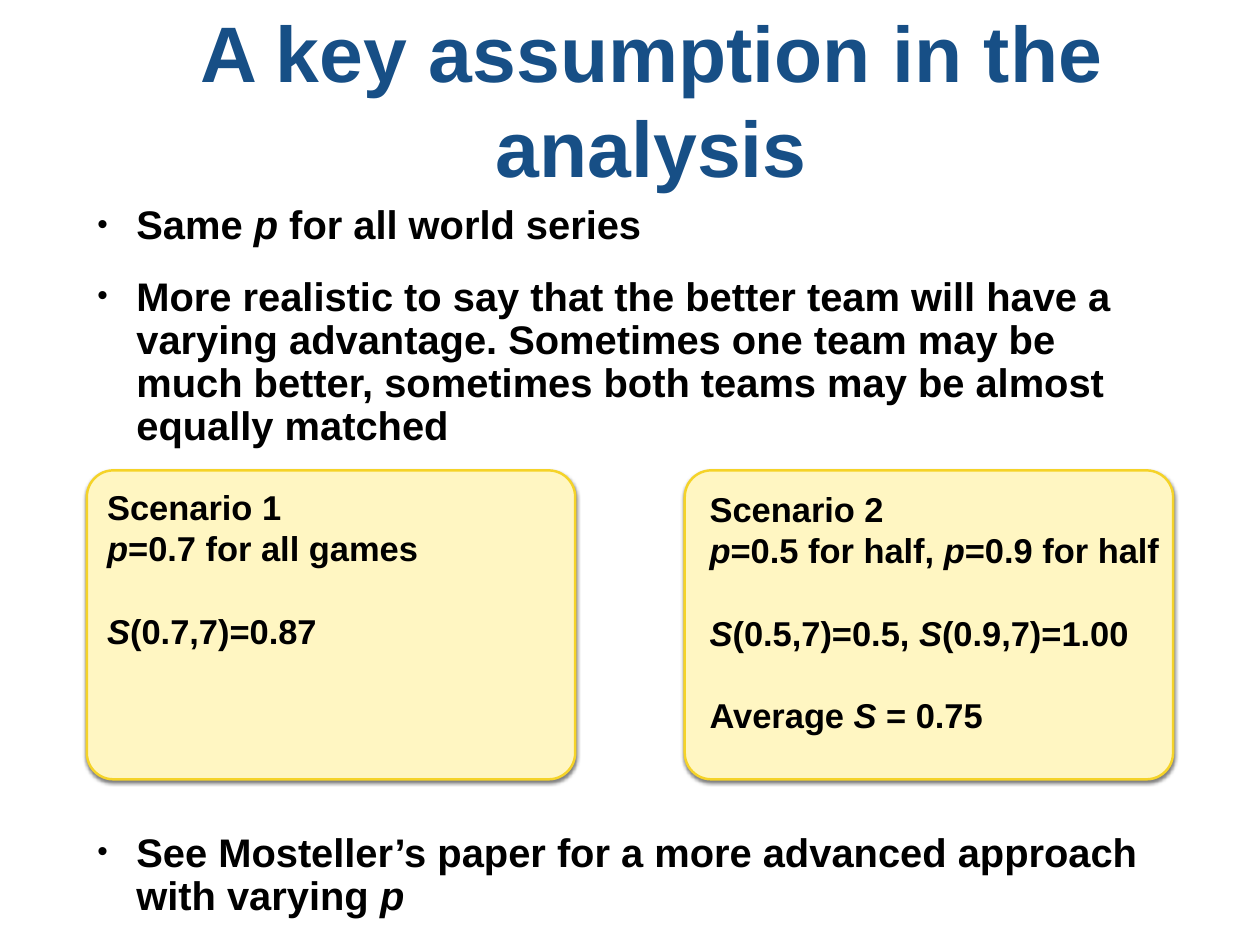
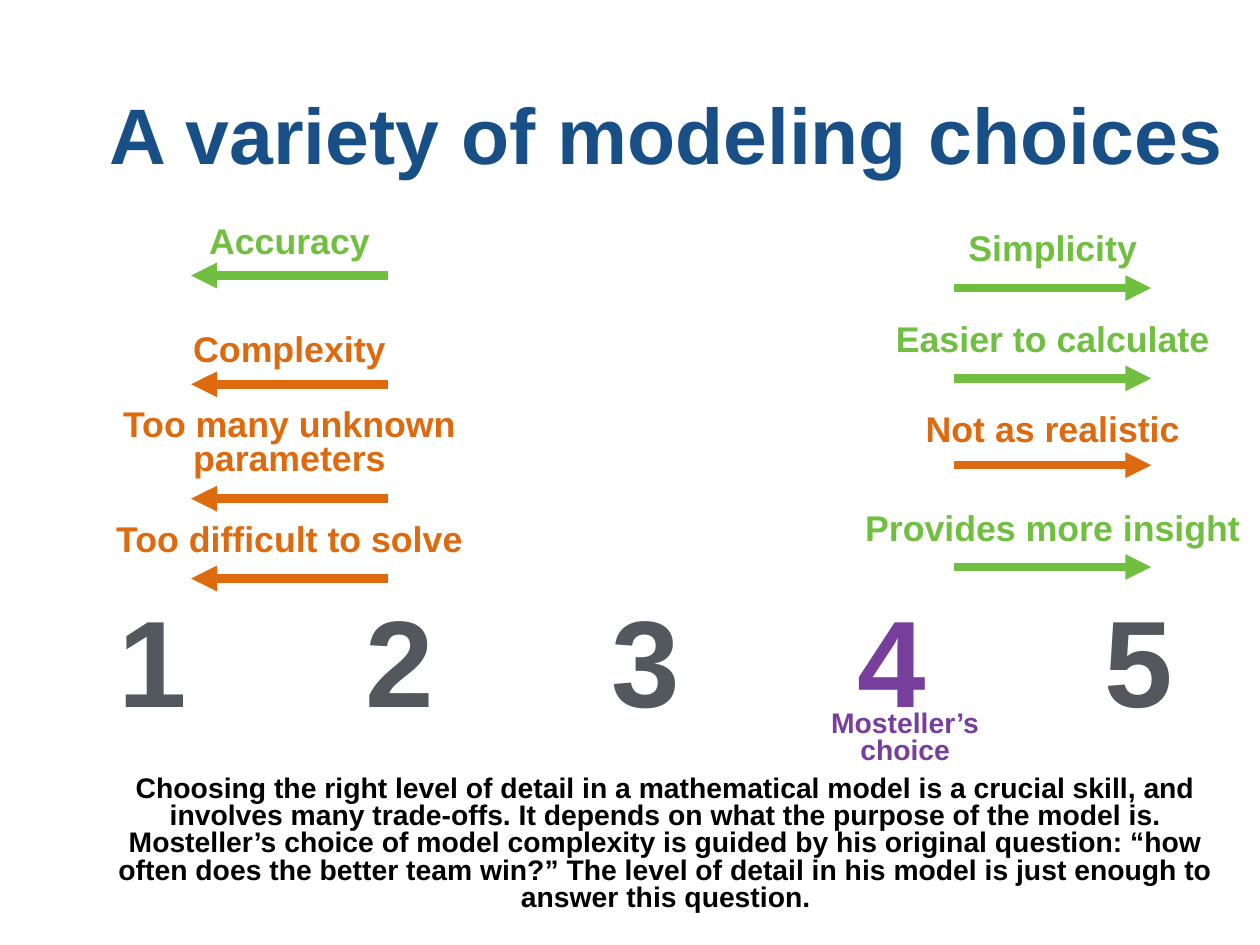
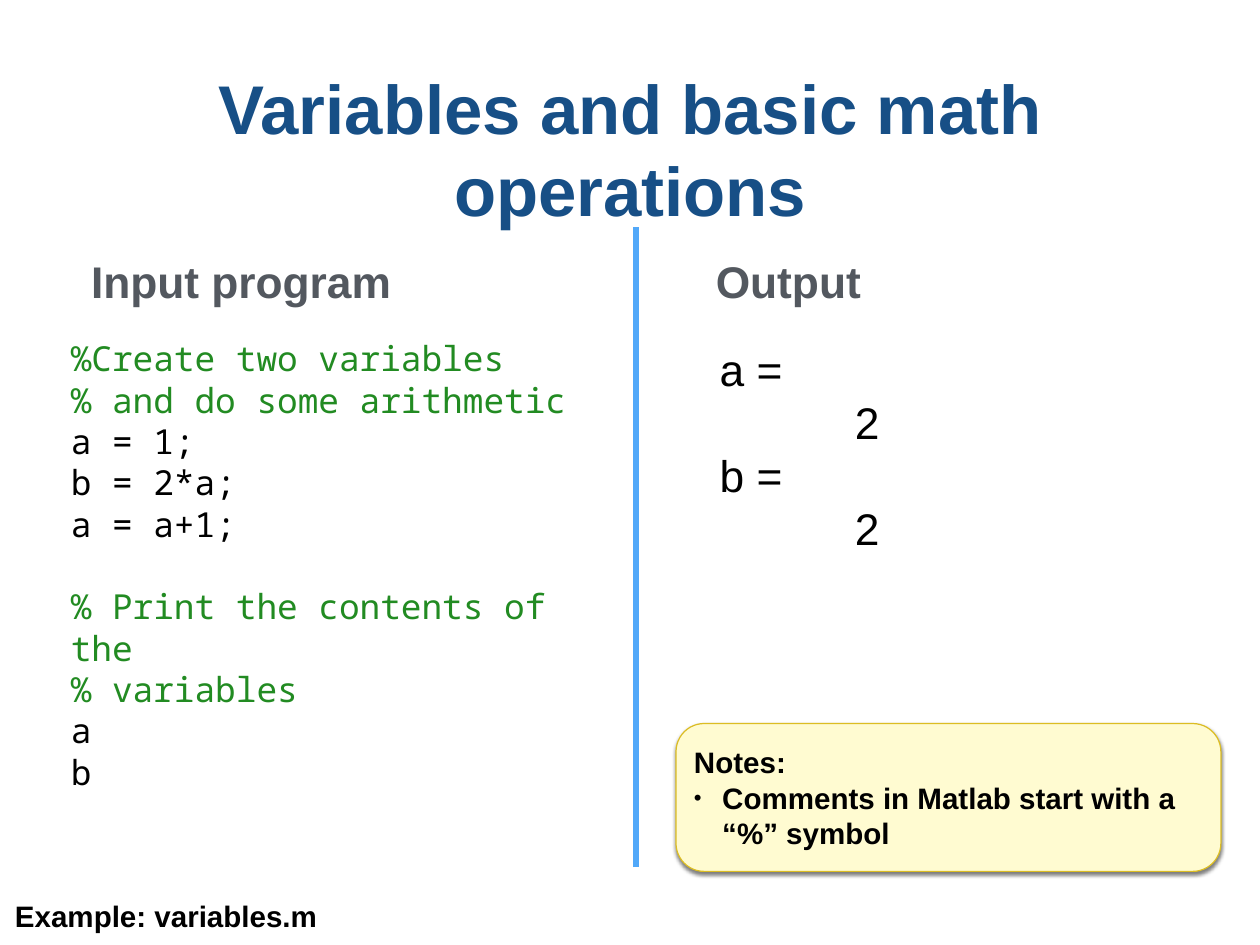
from lxml.etree import SubElement
from pptx import Presentation
from pptx.dml.color import RGBColor
from pptx.enum.shapes import MSO_CONNECTOR as Connector, MSO_SHAPE as Shape
from pptx.enum.text import MSO_ANCHOR as Anchor, PP_ALIGN as Align
from pptx.oxml.ns import qn
from pptx.util import Cm, Pt

BLACK = RGBColor(0x00, 0x00, 0x00)
NAVY = RGBColor(0x17, 0x4F, 0x86)
GREY = RGBColor(0x53, 0x58, 0x5F)
GREEN = RGBColor(0x70, 0xBF, 0x41)
ORANGE = RGBColor(0xDE, 0x6A, 0x10)
PURPLE = RGBColor(0x77, 0x3F, 0x9B)
SKY = RGBColor(0x51, 0xA8, 0xF9)
COMMENT_GREEN = RGBColor(0x22, 0x8B, 0x22)
CARD_FILL, CARD_LINE = RGBColor(0xFF, 0xF6, 0xC2), RGBColor(0xF5, 0xD3, 0x28)
NOTE_FILL, NOTE_LINE = RGBColor(0xFF, 0xFB, 0xD1), RGBColor(0xDC, 0xBD, 0x23)

SANS, MONO = "Arial", "Noto Sans Mono"
LEADING = 1.2  # line pitch as a multiple of the type size

# In all texts "|" switches italics on and off; "" leaves one line of space.
ASSUMPTION_TITLE = "A key assumption in the analysis"
ASSUMPTIONS = [
    "Same |p| for all world series",
    "More realistic to say that the better team will have a varying advantage. "
    "Sometimes one team may be much better, sometimes both teams may be almost "
    "equally matched",
]
FURTHER_READING = ["See Mosteller’s paper for a more advanced approach with varying |p"]
SCENARIOS = [  # left edge, left and top insets, lines
    (2.49, 0.36, 0.22,
     ["Scenario 1", "|p|=0.7 for all games", "", "|S|(0.7,7)=0.87"]),
    (19.63, 0.49, 0.28,
     ["Scenario 2", "|p|=0.5 for half, |p|=0.9 for half", "",
      "|S|(0.5,7)=0.5, |S|(0.9,7)=1.00", "", "Average |S |= 0.75"]),
]

CHOICES_TITLE = "A variety of modeling choices"
LEVELS, CHOSEN_LEVEL = 5, 4
TRADE_OFFS = [  # centre, arrow direction, (label, colour, label middle, arrow height)
    (8.3, -1, [
        ("Accuracy", GREEN, 7.0, 7.9),
        ("Complexity", ORANGE, 10.1, 11.02),
        ("Too many unknown parameters", ORANGE, 12.74, 14.3),
        ("Too difficult to solve", ORANGE, 15.57, 16.59),
    ]),
    (30.18, 1, [
        ("Simplicity", GREEN, 7.21, 8.26),
        ("Easier to calculate", GREEN, 9.82, 10.85),
        ("Not as realistic", ORANGE, 12.41, 13.34),
        ("Provides more insight", GREEN, 15.23, 16.26),
    ]),
]
CHOICE = "Mosteller’s choice"
CONCLUSION = (
    "Choosing the right level of detail in a mathematical model is a crucial skill, "
    "and involves many trade-offs. It depends on what the purpose of the model is. "
    "Mosteller’s choice of model complexity is guided by his original question: "
    "“how often does the better team win?” The level of detail in his model is just "
    "enough to answer this question."
)

VARIABLES_TITLE = "Variables and basic math operations"
HEADINGS = [("Input program", 2.46), ("Output", 20.37)]
PROGRAM = [
    "%Create two variables", "% and do some arithmetic",
    "a = 1;", "b = 2*a;", "a = a+1;", "",
    "% Print the contents of the", "% variables", "a", "b",
]
OUTPUT = ["a =", "2", "b =", "2"]
NOTES = ["Notes:", "Comments in Matlab start with a “%” symbol"]
EXAMPLE_FILE = "Example: variables.m"


def write(frame, lines, size, color=BLACK, font=SANS, bold=True,
          align=Align.LEFT, spacing=1.0, anchor=Anchor.MIDDLE, inset=0.15):
    """Fill a text frame with the lines and return its paragraphs."""
    frame.word_wrap = True
    frame.vertical_anchor = anchor
    frame.margin_left = frame.margin_right = Cm(inset)
    frame.margin_top = frame.margin_bottom = Cm(inset)
    pitch = Pt(round(size * LEADING * spacing, 1))
    paragraphs, gap = [], False
    for line in lines:
        if not line:
            gap = True
            continue
        paragraph = frame.add_paragraph() if paragraphs else frame.paragraphs[0]
        paragraph.alignment = align
        paragraph.line_spacing = pitch
        paragraph.space_before = pitch if gap else Pt(0)
        gap = False
        for position, part in enumerate(line.split("|")):
            if part:
                run = paragraph.add_run()
                run.text = part
                run.font.name, run.font.size = font, Pt(size)
                run.font.bold, run.font.italic = bold, position % 2 == 1
                run.font.color.rgb = color
        paragraphs.append(paragraph)
    return paragraphs


def add_text(slide, box, lines, size, **style):
    frame = slide.shapes.add_textbox(*map(Cm, box)).text_frame
    return write(frame, lines, size, **style)


def add_title(slide, text, left, top, width=33.71, size=64):
    add_text(slide, (left, top, width, 6), [text], size, color=NAVY, align=Align.CENTER)


def indent(paragraph, left, first=0):
    properties = paragraph._p.get_or_add_pPr()
    properties.set("marL", str(Cm(left)))
    properties.set("indent", str(Cm(first)))
    return properties


def add_bullet(paragraph, hang):
    properties = indent(paragraph, hang, -hang)
    SubElement(properties, qn("a:buSzPct"), val="75000")
    SubElement(properties, qn("a:buFont"), typeface=SANS)
    SubElement(properties, qn("a:buChar"), char="•")


def add_card(slide, box, rounding, fill, line, line_width):
    """Add a rounded card with a soft shadow below it."""
    card = slide.shapes.add_shape(Shape.ROUNDED_RECTANGLE, *map(Cm, box))
    card.adjustments[0] = rounding
    card.fill.solid()
    card.fill.fore_color.rgb = fill
    card.line.color.rgb = line
    card.line.width = Pt(line_width)
    card.shadow.inherit = False
    effects = card.element.spPr.find(qn("a:effectLst"))
    shadow = SubElement(effects, qn("a:outerShdw"), blurRad=str(Pt(3)),
                        dist=str(Pt(2)), dir="5400000", rotWithShape="0")
    shade = SubElement(shadow, qn("a:srgbClr"), val=str(BLACK))
    SubElement(shade, qn("a:alpha"), val="50000")
    return card.text_frame


def add_line(slide, start, end, color, width, arrow=False):
    connector = slide.shapes.add_connector(
        Connector.STRAIGHT, *map(Cm, start), *map(Cm, end))
    connector.line.color.rgb = color
    connector.line.width = Pt(width)
    properties = connector.element.spPr
    if arrow:
        SubElement(properties.find(qn("a:ln")), qn("a:tailEnd"), type="triangle")
    SubElement(properties, qn("a:effectLst"))


def build_assumption(slide):
    add_title(slide, ASSUMPTION_TITLE, 1.22, -0.18, width=34.9)
    for lines, top, height in ((ASSUMPTIONS, 5.72, 7.5), (FURTHER_READING, 23.72, 3)):
        bullets = add_text(slide, (2.64, top, 30.84, height), lines, 32.4,
                           spacing=0.9, anchor=Anchor.TOP)
        for number, bullet in enumerate(bullets):
            add_bullet(bullet, 1.12)
            if number:
                bullet.space_before = Pt(23)
    for left, inset_left, inset_top, lines in SCENARIOS:
        frame = add_card(slide, (left, 13.49, 14, 8.86), 0.086, CARD_FILL, CARD_LINE, 2)
        write(frame, lines, 28, anchor=Anchor.TOP, inset=0)
        frame.margin_left, frame.margin_top = Cm(inset_left), Cm(inset_top)


def build_choices(slide):
    add_title(slide, CHOICES_TITLE, 2.24, 0.81)
    digit_width, first_center, step = 2.6, 4.39, 7.06
    for level in range(1, LEVELS + 1):
        left = first_center + (level - 1) * step - digit_width / 2
        add_text(slide, (left, 16.61, digit_width, 4.52), [str(level)], 100,
                 color=PURPLE if level == CHOSEN_LEVEL else GREY, align=Align.CENTER)

    label_width, label_height, half_arrow = 11.4, 1.52, 2.82
    for center, direction, labels in TRADE_OFFS:
        reach = direction * half_arrow
        for label, color, middle, arrow_y in labels:
            box = (center - label_width / 2, middle - label_height / 2,
                   label_width, label_height)
            add_text(slide, box, [label], 29, color=color, align=Align.CENTER, spacing=0.8)
            add_line(slide, (center - reach, arrow_y), (center + reach, arrow_y),
                     color, 7, arrow=True)

    for text, box, color in ((CHOICE, (23.32, 20.27, 5.26, 1.85), PURPLE),
                             (CONCLUSION, (3.05, 22.02, 32.08, 4.42), BLACK)):
        add_text(slide, box, [text], 23, color=color, align=Align.CENTER, spacing=0.8)


def build_variables(slide):
    add_title(slide, VARIABLES_TITLE, 1.22, 1.24, size=56)
    for heading, left in HEADINGS:
        add_text(slide, (left, 7.14, 9.4, 1.8), [heading], 36, color=GREY)
    add_line(slide, (18.24, 24.87), (18.24, 6.5), SKY, 5)

    code = add_text(slide, (1.88, 9.53, 16.2, 13.4), PROGRAM, 28, font=MONO,
                    bold=False, anchor=Anchor.TOP)
    for line in code:
        if line.text.startswith("%"):
            line.runs[0].font.color.rgb = COMMENT_GREEN

    output = add_text(slide, (20.48, 9.66, 5.2, 6.4), OUTPUT, 36, bold=False,
                      anchor=Anchor.TOP)
    for value in output[1::2]:
        indent(value, 3.88)

    note = add_card(slide, (19.38, 20.75, 15.62, 4.24), 0.19, NOTE_FILL, NOTE_LINE, 1)
    for remark in write(note, NOTES, 24, inset=0.28)[1:]:
        add_bullet(remark, 0.81)
    add_text(slide, (0.28, 25.6, 9.4, 1.32), [EXAMPLE_FILE], 24)


def main():
    deck = Presentation()
    deck.slide_width, deck.slide_height = Cm(36.12), Cm(27.1)
    blank = deck.slide_layouts[6]
    for build in (build_assumption, build_choices, build_variables):
        build(deck.slides.add_slide(blank))
    deck.save("out.pptx")


if __name__ == "__main__":
    main()
